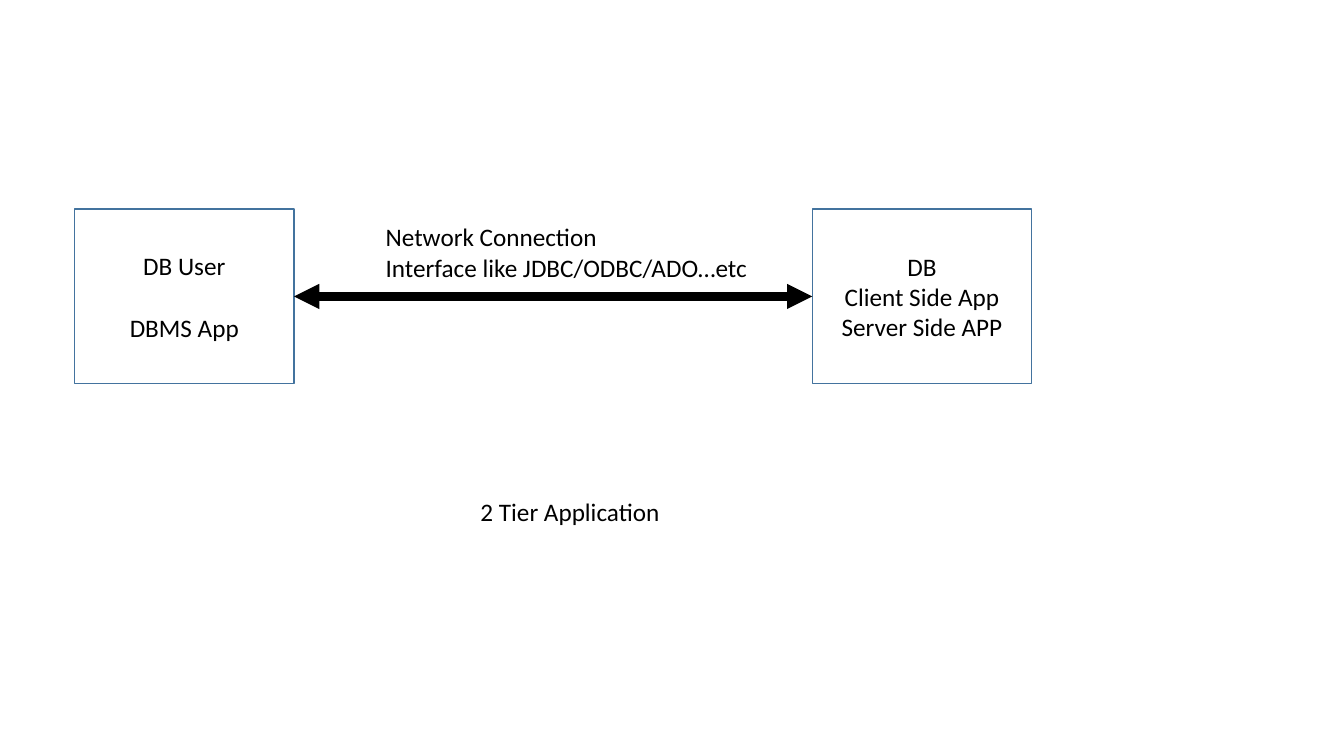
"""Build a slide showing a two-tier database application."""
from dataclasses import dataclass

from lxml import etree
from pptx import Presentation
from pptx import util as u
from pptx.dml.color import RGBColor
from pptx.enum import shapes, text
from pptx.oxml import ns


@dataclass(frozen=True)
class Theme:
    font: str = "Calibri"
    size: u.Pt = u.Pt(18)
    ink: RGBColor = RGBColor(0x00, 0x00, 0x00)
    border: RGBColor = RGBColor(0x43, 0x73, 0x9E)
    border_width: u.Pt = u.Pt(1)
    arrow_width: u.Pt = u.Pt(6)


theme = Theme()


def write(frame, lines, align=text.PP_ALIGN.LEFT, anchor=text.MSO_ANCHOR.TOP,
          wrap=True, fit=text.MSO_AUTO_SIZE.NONE, gap=u.Pt(0)):
    frame.word_wrap = wrap
    frame.auto_size = fit
    frame.vertical_anchor = anchor
    for index, line in enumerate(lines):
        paragraph = frame.add_paragraph() if index else frame.paragraphs[0]
        paragraph.alignment = align
        paragraph.space_before = gap if index else u.Pt(0)
        run = paragraph.add_run()
        run.text = line
        run.font.name = theme.font
        run.font.size = theme.size
        run.font.color.rgb = theme.ink


deck = Presentation()
deck.slide_width, deck.slide_height = u.Cm(33.87), u.Cm(19.05)
slide = deck.slides.add_slide(deck.slide_layouts[6])

tier_top, tier_width, tier_height = u.Cm(5.27), u.Cm(5.53), u.Cm(4.4)
tiers = [
    (u.Cm(1.88), ["DB User", "DBMS App"], u.Pt(22)),
    (u.Cm(20.47), ["DB", "Client Side App", "Server Side APP"], u.Pt(0)),
]
tier_boxes = []
for left, lines, gap in tiers:
    tier = slide.shapes.add_shape(shapes.MSO_SHAPE.RECTANGLE, left, tier_top,
                                  tier_width, tier_height)
    tier.shadow.inherit = False
    tier.fill.background()
    tier.line.color.rgb = theme.border
    tier.line.width = theme.border_width
    write(tier.text_frame, lines, align=text.PP_ALIGN.CENTER,
          anchor=text.MSO_ANCHOR.MIDDLE, gap=gap)
    tier_boxes.append(tier)

user_tier, server_tier = tier_boxes
network = slide.shapes.add_connector(shapes.MSO_CONNECTOR.STRAIGHT, 0, 0, 0, 0)
network.begin_connect(user_tier, 3)
network.end_connect(server_tier, 1)
network.line.color.rgb = theme.ink
network.line.width = theme.arrow_width
for end in ("a:headEnd", "a:tailEnd"):
    etree.SubElement(network.line._get_or_add_ln(), ns.qn(end), type="triangle")
etree.SubElement(network._element.spPr, ns.qn("a:effectLst"))

labels = [
    (9.47, 5.46, 9.73, 1.8, ["Network Connection", "Interface like JDBC/ODBC/ADO…etc"]),
    (11.86, 12.37, 5.08, 1.02, ["2 Tier Application"]),
]
for *bounds, lines in labels:
    label = slide.shapes.add_textbox(*map(u.Cm, bounds))
    write(label.text_frame, lines, wrap=False,
          fit=text.MSO_AUTO_SIZE.SHAPE_TO_FIT_TEXT)

deck.save("out.pptx")
